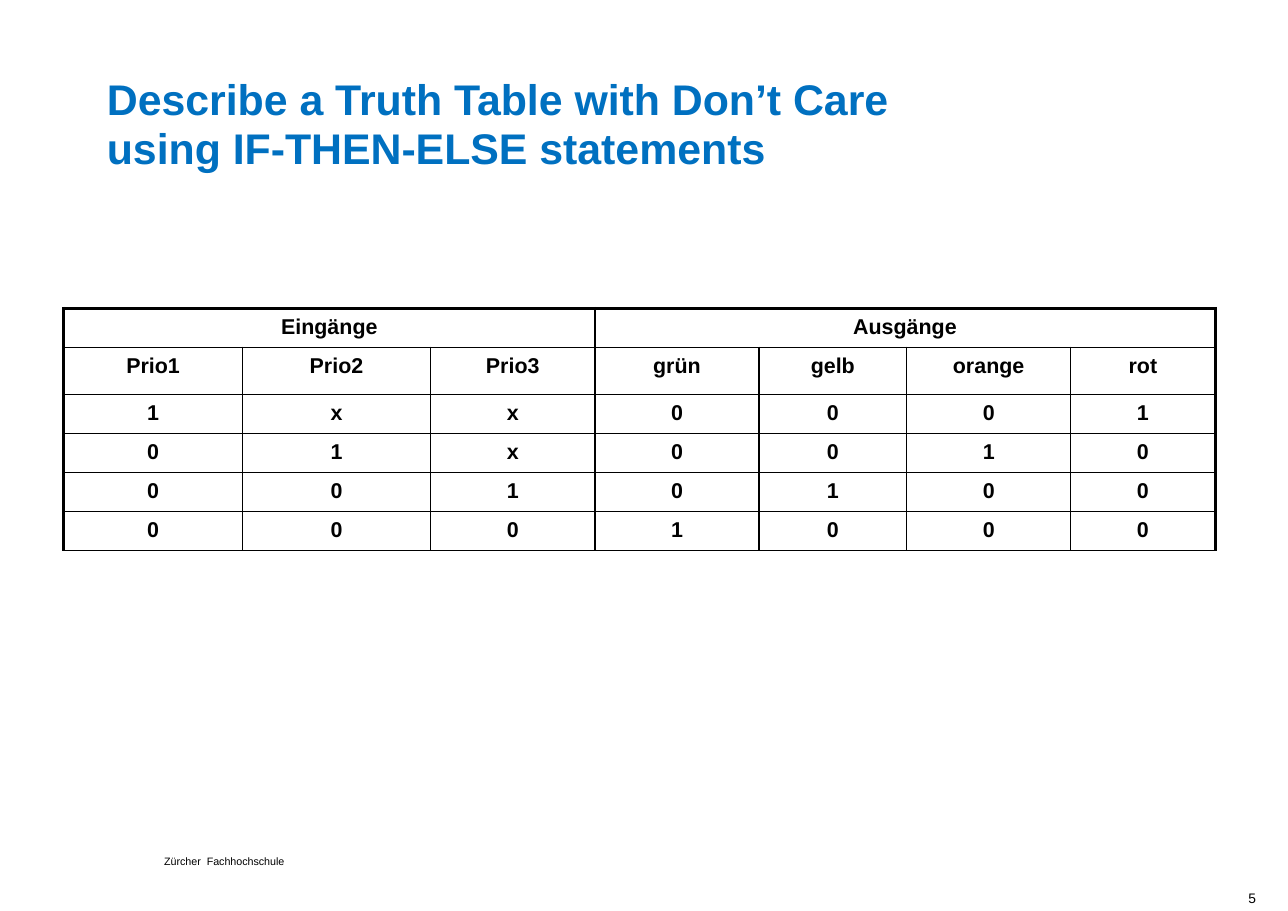
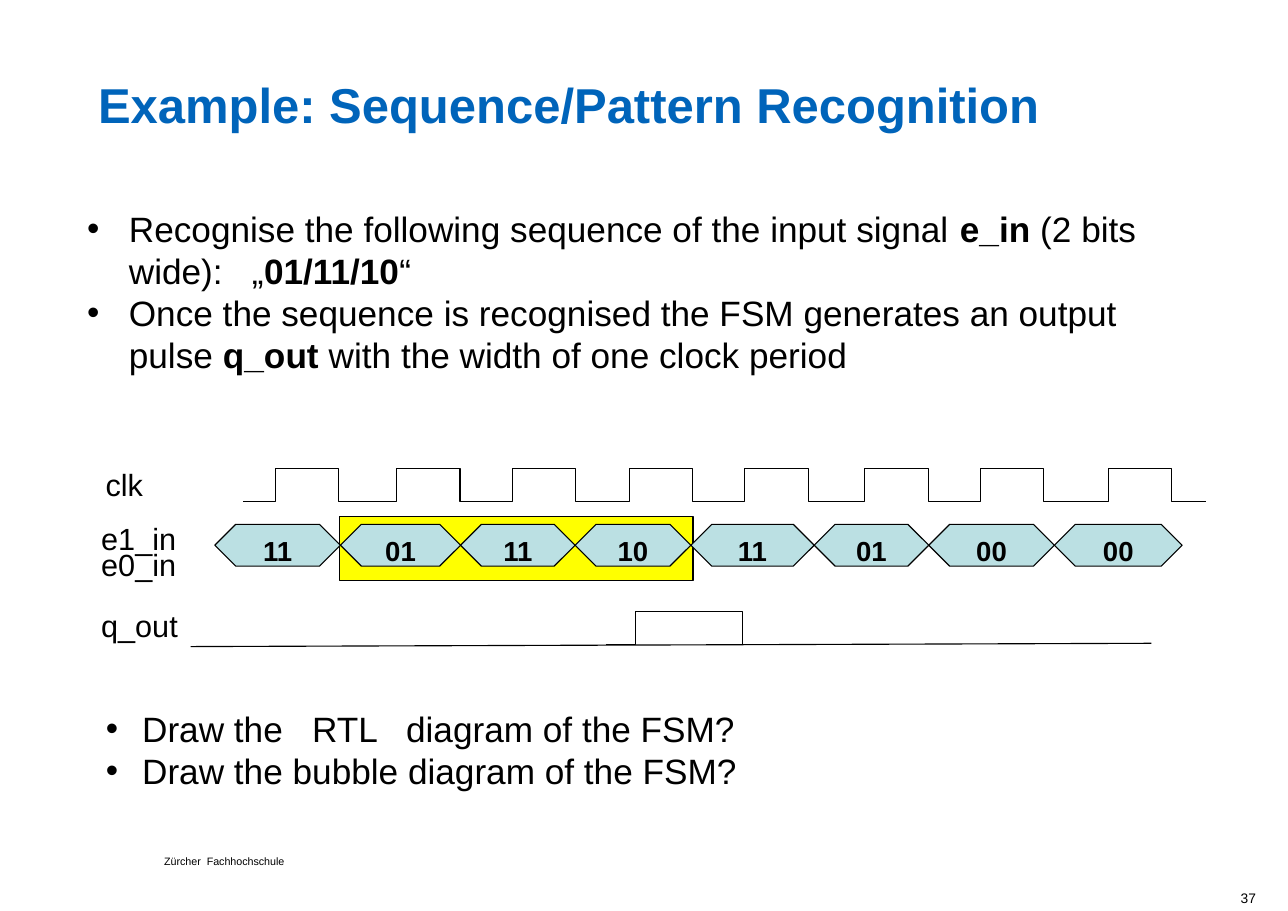
from dataclasses import dataclass
from itertools import pairwise

from lxml import etree
from pptx import Presentation
from pptx.dml.color import RGBColor
from pptx.enum.shapes import MSO_CONNECTOR, MSO_SHAPE
from pptx.enum.text import MSO_ANCHOR, MSO_AUTO_SIZE, PP_ALIGN
from pptx.oxml.ns import qn
from pptx.util import Emu, Inches, Pt

HEXAGON, RECTANGLE = MSO_SHAPE.HEXAGON, MSO_SHAPE.RECTANGLE
STRAIGHT, ELBOW = MSO_CONNECTOR.STRAIGHT, MSO_CONNECTOR.ELBOW
LEFT, CENTER, RIGHT = PP_ALIGN.LEFT, PP_ALIGN.CENTER, PP_ALIGN.RIGHT
TOP, MIDDLE = MSO_ANCHOR.TOP, MSO_ANCHOR.MIDDLE
NO_AUTOFIT = MSO_AUTO_SIZE.NONE

GRID_STEP = Inches(0.1)
PAGE_COLUMNS, PAGE_ROWS = 116.9, 82.7
TWO_CONTENT_LAYOUT, TITLE_ONLY_LAYOUT = 3, 5


@dataclass(frozen=True)
class Theme:
    font: str = "Arial"
    ink: str = "000000"
    table_title: str = "0070C0"
    example_title: str = "0064BA"
    signal: str = "BBE0E3"
    highlight: str = "FFFF00"
    table_title_size: float = 28
    example_title_size: float = 32
    list_size: float = 23
    label_size: float = 20
    value_size: float = 18
    table_size: float = 14
    page_size: float = 9
    footer_size: float = 7
    leading: float = 32
    thin: float = 0.75
    rule: float = 1
    border: float = 2.25


@dataclass(frozen=True)
class Frame:
    column: float
    row: float
    columns: float
    rows: float


@dataclass(frozen=True)
class Span:
    text: str
    bold: bool = False


@dataclass(frozen=True)
class Label:
    text: str
    frame: Frame
    spacing: object


@dataclass(frozen=True)
class Pulse:
    rise: float
    fall: float
    top: float
    rise_reach: float
    fall_reach: float


THEME = Theme()
PULSE_ROWS = 3
CLOCK_ROW, VALUE_ROW, OUTPUT_ROW = 42.5, 47.6, 55.5
CLOCK_RISES = (25, 36, 46.5, 57.1, 67.6, 78.5, 89, 100.6)
CLOCK_HIGH = 5.75
VALUE_EDGES = (19.5, 30.9, 41.8, 52.2, 62.7, 73.9, 84.3, 95.7, 107.3)
VALUES = ("11", "01", "11", "10", "11", "01", "00", "00")
LABELS = (
    Label("clk", Frame(8.6, 40.7, 5.4, 5.3), Pt(THEME.leading)),
    Label("e1_in\ne0_in", Frame(8.2, 47.6, 8.9, 5.9), 0.7),
    Label("q_out", Frame(8.2, 55.5, 9, 3.5), 0.7),
)
TASK = (
    (
        Span("Recognise the following sequence of the input signal "),
        Span("e_in", True),
        Span(" (2 bits wide):   „"),
        Span("01/11/10", True),
        Span("“"),
    ),
    (
        Span("Once the sequence is recognised the FSM generates an output pulse "),
        Span("q_out ", True),
        Span("with the width of one clock period"),
    ),
)
QUESTIONS = (
    (Span("Draw the   RTL   diagram of the FSM?"),),
    (Span("Draw the bubble diagram of the FSM?"),),
)
TABLE_COLUMNS = (16.2, 17.1, 14.9, 14.9, 13.4, 14.9, 13.1)
TABLE_ROWS = (3.5, 4.3, 3.5, 3.5, 3.5, 3.5)
TABLE_GROUPS = ((0, 3, "Eingänge"), (3, 4, "Ausgänge"))
TABLE_TEXT = (
    "Prio1 Prio2 Prio3 grün gelb orange rot",
    "1 x x 0 0 0 1",
    "0 1 x 0 0 1 0",
    "0 0 1 0 1 0 0",
    "0 0 0 1 0 0 0",
)


def grid(steps: float) -> Emu:
    return Emu(round(steps * GRID_STEP))


def bounds(frame: Frame) -> tuple:
    return tuple(map(grid, (frame.column, frame.row, frame.columns, frame.rows)))


def place(box, frame: Frame) -> None:
    box.left, box.top, box.width, box.height = bounds(frame)


def set_insets(holder, horizontal: float, vertical: float) -> None:
    holder.margin_left = holder.margin_right = Inches(horizontal)
    holder.margin_top = holder.margin_bottom = Inches(vertical)


def format_para(para, size: float, color: str = THEME.ink, bold: bool = False,
                align=LEFT, spacing=None) -> None:
    para.alignment = align
    if spacing is not None:
        para.line_spacing = spacing
    for span in para.runs:
        span.font.name = THEME.font
        span.font.size = Pt(size)
        span.font.bold = bold
        span.font.color.rgb = RGBColor.from_string(color)


def add_text(page, text: str, frame: Frame, size: float, align=LEFT, spacing=None):
    box = page.shapes.add_textbox(*bounds(frame))
    box.text_frame.word_wrap = True
    set_insets(box.text_frame, 0, 0)
    para = box.text_frame.paragraphs[0]
    para.text = text
    format_para(para, size, align=align, spacing=spacing)
    return box


def add_page(deck, layout: int, title: str, frame: Frame, size: float, color: str,
             number: str):
    page = deck.slides.add_slide(deck.slide_layouts[layout])
    box = page.shapes.title
    place(box, frame)
    box.text_frame.auto_size = NO_AUTOFIT
    box.text_frame.vertical_anchor = TOP
    set_insets(box.text_frame, 0, 0)
    para = box.text_frame.paragraphs[0]
    para.text = title
    format_para(para, size, color, True, spacing=Pt(THEME.leading))
    add_text(page, "Zürcher  Fachhochschule", Frame(14.9, 77.8, 13.2, 1),
             THEME.footer_size, spacing=Pt(THEME.footer_size))
    add_text(page, number, Frame(100.7, 80.8, 13.3, 2.1), THEME.page_size, RIGHT)
    return page


def fill_list(box, frame: Frame, items: tuple, indent: float) -> None:
    place(box, frame)
    text_frame = box.text_frame
    text_frame.auto_size = NO_AUTOFIT
    text_frame.vertical_anchor = TOP
    set_insets(text_frame, 0.11, 0.06)
    for index, spans in enumerate(items):
        para = text_frame.add_paragraph() if index else text_frame.paragraphs[0]
        properties = para._p.get_or_add_pPr()
        properties.set("marL", str(Inches(indent)))
        properties.set("indent", str(-Inches(indent)))
        etree.SubElement(properties, qn("a:buChar"), char="•")
        para.space_before = Pt(0)
        for span in spans:
            para.add_run().text = span.text
        format_para(para, THEME.list_size)
        for run, span in zip(para.runs, spans):
            run.font.bold = span.bold


def add_line(page, kind, start: tuple, end: tuple) -> None:
    line = page.shapes.add_connector(kind, *map(grid, start + end))
    line.line.width = Pt(THEME.thin)
    line.line.color.rgb = RGBColor.from_string(THEME.ink)
    etree.SubElement(line._element.spPr, qn("a:effectLst"))


def add_pulse(page, pulse: Pulse) -> None:
    base = pulse.top + PULSE_ROWS
    add_line(page, ELBOW, (pulse.rise - pulse.rise_reach, base),
             (pulse.rise + pulse.rise_reach, pulse.top))
    add_line(page, ELBOW, (pulse.fall - pulse.fall_reach, pulse.top),
             (pulse.fall + pulse.fall_reach, base))


def add_block(page, kind, frame: Frame, color: str):
    block = page.shapes.add_shape(kind, *bounds(frame))
    block.shadow.inherit = False
    block.fill.solid()
    block.fill.fore_color.rgb = RGBColor.from_string(color)
    block.line.width = Pt(THEME.thin)
    block.line.color.rgb = RGBColor.from_string(THEME.ink)
    return block


def add_value(page, text: str, left: float, right: float) -> None:
    block = add_block(page, HEXAGON, Frame(left, VALUE_ROW, right - left, 3.8),
                      THEME.signal)
    block.adjustments[0] = 0.5
    text_frame = block.text_frame
    text_frame.word_wrap = False
    text_frame.vertical_anchor = MIDDLE
    set_insets(text_frame, 0, 0)
    text_frame.margin_top = Inches(0.09)
    para = text_frame.paragraphs[0]
    para.text = text
    format_para(para, THEME.value_size, bold=True, align=CENTER)


def add_border(cell, side: str, width: float) -> None:
    line = etree.SubElement(cell._tc.get_or_add_tcPr(), qn(f"a:ln{side}"),
                            w=str(Pt(width)))
    fill = etree.SubElement(line, qn("a:solidFill"))
    etree.SubElement(fill, qn("a:srgbClr"), val=THEME.ink)


def format_cell(cell, row: int, column: int) -> None:
    last = column + cell.span_width if cell.is_merge_origin else column + 1
    outer = {"L": column == 0, "R": last == len(TABLE_COLUMNS), "T": row == 0, "B": False}
    for side, is_outer in outer.items():
        add_border(cell, side, THEME.border if is_outer else THEME.rule)
    cell.fill.background()
    set_insets(cell, 0.11, 0.06)
    format_para(cell.text_frame.paragraphs[0], THEME.table_size, bold=True, align=CENTER)


def add_truth_table(page) -> None:
    frame = Frame(5.8, 28, sum(TABLE_COLUMNS), sum(TABLE_ROWS))
    table = page.shapes.add_table(len(TABLE_ROWS), len(TABLE_COLUMNS),
                                  *bounds(frame)).table
    table.first_row = table.horz_banding = False
    for column, width in zip(table.columns, TABLE_COLUMNS):
        column.width = grid(width)
    for row, height in zip(table.rows, TABLE_ROWS):
        row.height = grid(height)
    for start, count, text in TABLE_GROUPS:
        table.cell(0, start).merge(table.cell(0, start + count - 1))
        table.cell(0, start).text_frame.text = text
    for row, line in enumerate(TABLE_TEXT, 1):
        for column, text in enumerate(line.split()):
            table.cell(row, column).text_frame.text = text
    for row in range(len(TABLE_ROWS)):
        for column in range(len(TABLE_COLUMNS)):
            cell = table.cell(row, column)
            if not cell.is_spanned:
                format_cell(cell, row, column)


def build_table_page(deck) -> None:
    page = add_page(deck, TITLE_ONLY_LAYOUT,
                    "Describe a Truth Table with Don’t Care\nusing IF-THEN-ELSE statements",
                    Frame(9.7, 6.8, 82.7, 11.5), THEME.table_title_size,
                    THEME.table_title, "5")
    add_truth_table(page)


def build_example_page(deck) -> None:
    page = add_page(deck, TWO_CONTENT_LAYOUT, "Example: Sequence/Pattern Recognition",
                    Frame(8.9, 7.7, 99.4, 8.1), THEME.example_title_size,
                    THEME.example_title, "37")
    fill_list(page.placeholders[1], Frame(6.8, 18.2, 103.3, 16.6), TASK, 0.38)
    fill_list(page.placeholders[2], Frame(8.5, 63.6, 103.3, 8.9), QUESTIONS, 0.33)
    add_block(page, RECTANGLE, Frame(30.8, 46.9, 32.1, 5.8), THEME.highlight)
    for rise in CLOCK_RISES:
        add_pulse(page, Pulse(rise, rise + CLOCK_HIGH, CLOCK_ROW, 2.9, 3.1))
    for text, (left, right) in zip(VALUES, pairwise(VALUE_EDGES)):
        add_value(page, text, left, right)
    add_line(page, STRAIGHT, (17.3, 58.7), (104.5, 58.4))
    add_pulse(page, Pulse(57.7, 67.4, OUTPUT_ROW, 2.7, 7))
    for label in LABELS:
        box = add_text(page, label.text, label.frame, THEME.label_size,
                       spacing=label.spacing)
        box.text_frame.word_wrap = False
        set_insets(box.text_frame, 0.1, 0.05)


def main() -> None:
    deck = Presentation()
    deck.slide_width, deck.slide_height = grid(PAGE_COLUMNS), grid(PAGE_ROWS)
    build_table_page(deck)
    build_example_page(deck)
    deck.save("out.pptx")


if __name__ == "__main__":
    main()
